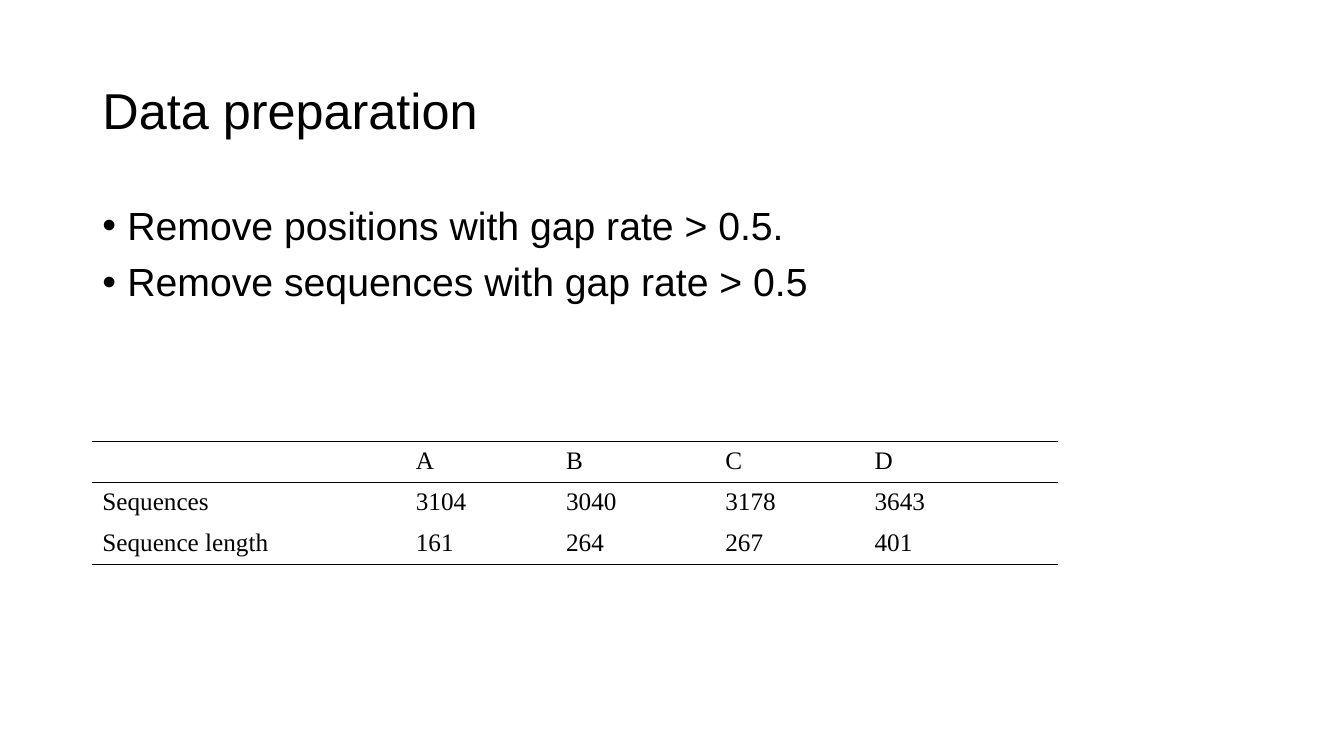
from lxml.etree import SubElement
from pptx import Presentation
from pptx.dml.color import RGBColor
from pptx.enum.text import MSO_ANCHOR, PP_ALIGN
from pptx.oxml.ns import qn
from pptx.util import Pt

BLACK = "000000"
POINTS = ["Remove positions with gap rate > 0.5.",
          "Remove sequences with gap rate > 0.5"]
ROWS = [["", "A", "B", "C", "D"],
        ["Sequences", "3104", "3040", "3178", "3643"],
        ["Sequence length", "161", "264", "267", "401"]]
WIDTHS = [223.9, 107.3, 113.8, 106.6, 138.2]
RULES = [1.5, 0.5, 0, 1.5]


def paint(font, color):
    """Set a font's colour from a hex string."""
    font.color.rgb = RGBColor.from_string(color)


def add_run(para, text, size, face):
    """Add one formatted run to a paragraph."""
    run = para.add_run()
    run.text = text
    run.font.size = Pt(size)
    run.font.name = face
    paint(run.font, BLACK)


def add_title(slide, text):
    """Move and fill the title placeholder."""
    title = slide.shapes.title
    title.left, title.top, title.width, title.height = Pt(66), Pt(28.8), Pt(828), Pt(104.4)
    frame = title.text_frame
    frame.vertical_anchor = MSO_ANCHOR.MIDDLE
    para = frame.paragraphs[0]
    para.alignment = PP_ALIGN.LEFT
    para.line_spacing = 0.9
    add_run(para, text, 36, "Arial")


def add_list(slide, items):
    """Add a text box of bulleted paragraphs."""
    frame = slide.shapes.add_textbox(Pt(66), Pt(144), Pt(828), Pt(342.7)).text_frame
    frame.word_wrap = True
    for num, item in enumerate(items):
        para = frame.add_paragraph() if num else frame.paragraphs[0]
        para.line_spacing = 0.9
        para.space_before = Pt(10)
        props = para._p.get_or_add_pPr()
        props.set("marL", str(Pt(18)))
        props.set("indent", str(Pt(-18)))
        SubElement(props, qn("a:buFont"), typeface="Arial")
        SubElement(props, qn("a:buChar"), char="•")
        add_run(para, item, 28, "Arial")


def add_edges(cell, top, bottom):
    """Draw a cell's top and bottom rules and hide its other edges."""
    props = cell._tc.get_or_add_tcPr()
    edges = {"a:lnL": 0, "a:lnR": 0, "a:lnT": top, "a:lnB": bottom}
    for spot, (tag, width) in enumerate(edges.items()):
        line = SubElement(props, qn(tag), w=str(Pt(width)))
        if width:
            fill = SubElement(line, qn("a:solidFill"))
            SubElement(fill, qn("a:srgbClr"), val=BLACK)
        else:
            SubElement(line, qn("a:noFill"))
        props.insert(spot, line)


def add_grid(slide, rows):
    """Add the ruled table."""
    high = 29.3
    table = slide.shapes.add_table(len(rows), len(WIDTHS), Pt(66), Pt(315.4),
                                   Pt(sum(WIDTHS)), Pt(high * len(rows))).table
    table.first_row = table.horz_banding = False
    for col, width in zip(table.columns, WIDTHS):
        col.width = Pt(width)
    for r, row in enumerate(rows):
        table.rows[r].height = Pt(high)
        for c, text in enumerate(row):
            cell = table.cell(r, c)
            cell.fill.background()
            add_edges(cell, RULES[r], RULES[r + 1])
            if text:
                add_run(cell.text_frame.paragraphs[0], text, 18, "Times New Roman")


def main():
    """Build and save the slide."""
    deck = Presentation()
    deck.slide_width, deck.slide_height = Pt(960), Pt(540)
    slide = deck.slides.add_slide(deck.slide_layouts[5])
    add_title(slide, "Data preparation")
    add_list(slide, POINTS)
    add_grid(slide, ROWS)
    deck.save("out.pptx")


if __name__ == "__main__":
    main()
